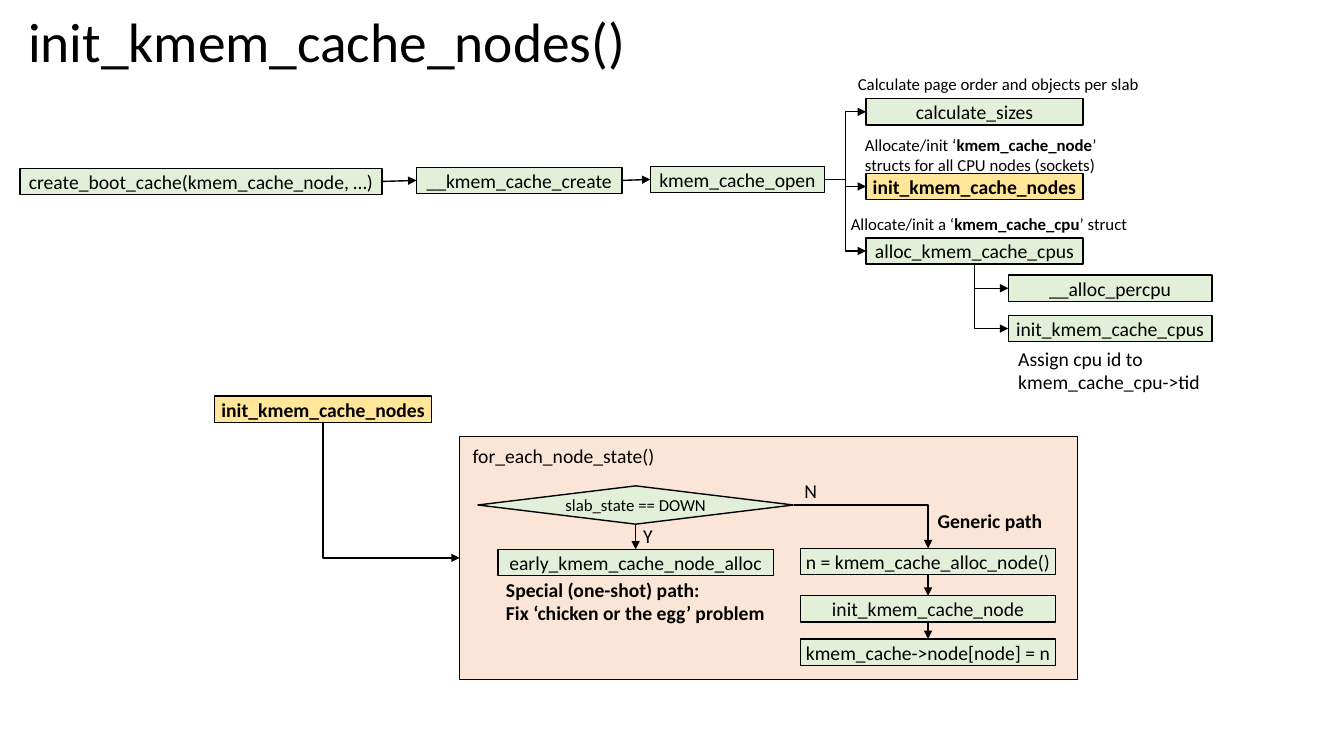
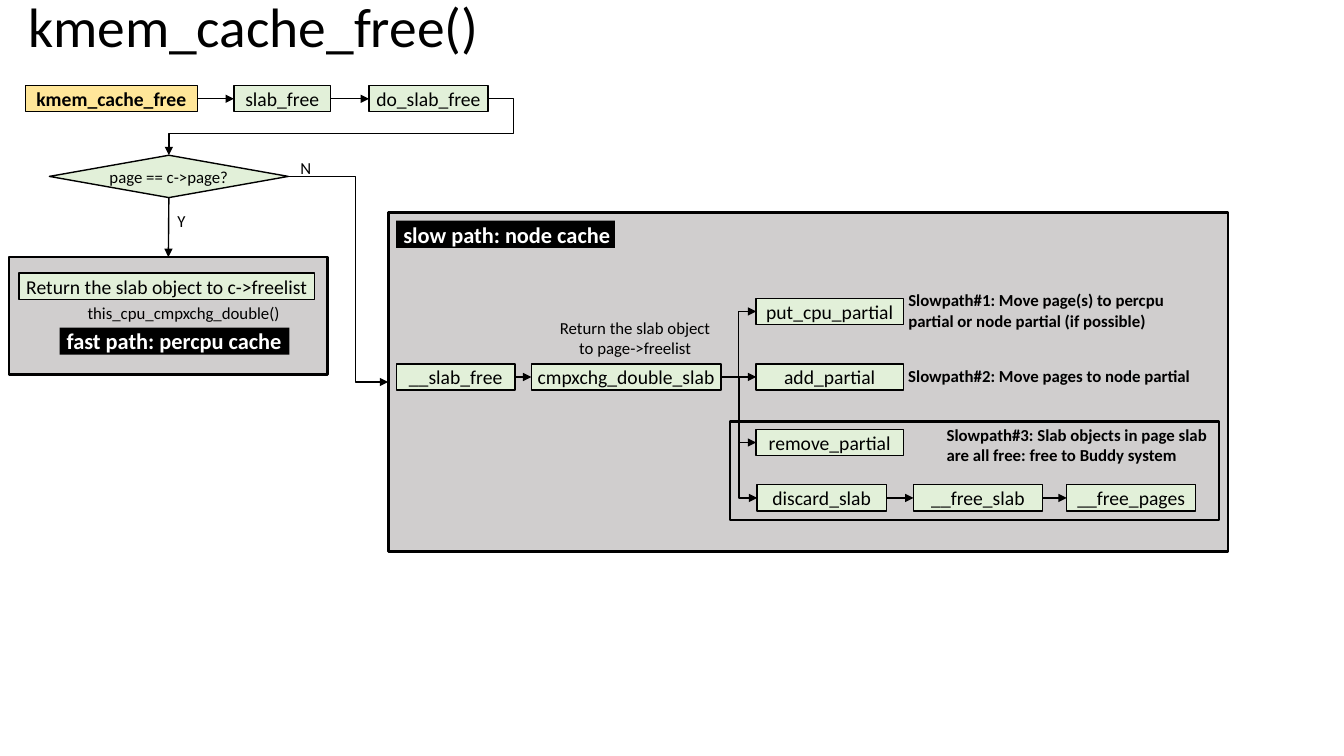
from pptx import Presentation
from pptx import util as u
from pptx.dml.color import RGBColor
from pptx.enum import shapes, text
from pptx.oxml.ns import qn
from lxml import etree

PX = 9144  # EMU per px, 100 px to the inch
BOX_HEIGHT = 26
TOP, LEFT, BOTTOM, RIGHT = range(4)  # connection sites

BLACK, WHITE = "000000", "FFFFFF"
GREEN, YELLOW = "E2F0D9", "FFE699"
PEACH, GREY = "FBE5D6", "D0CECE"
FONT = "Calibri"


def px(value):
    return u.Emu(value * PX)


def color(value):
    return RGBColor.from_string(value)


def write(shape, content, size=14, ink=BLACK, bold=False, align="LEFT",
          anchor="TOP", insets=(10, 5, 10, 5), wrap=True, spacing=None):
    """Fill a shape with text: a new line starts a paragraph, ** toggles bold."""
    frame = shape.text_frame
    frame.word_wrap = wrap
    frame.vertical_anchor = text.MSO_ANCHOR[anchor]
    (frame.margin_left, frame.margin_top,
     frame.margin_right, frame.margin_bottom) = map(px, insets)
    for row, line in enumerate(content.split("\n")):
        para = frame.add_paragraph() if row else frame.paragraphs[0]
        para.alignment = text.PP_ALIGN[align]
        para.line_spacing = spacing
        for part, words in enumerate(line.split("**")):
            span = para.add_run()
            span.text = words
            span.font.name = FONT
            span.font.size = u.Pt(size)
            span.font.bold = bold or part % 2 == 1
            span.font.color.rgb = color(ink)


class Flow:
    """The deck's style and the slide being drawn."""

    def __init__(self):
        self.deck = Presentation()
        self.deck.slide_width = px(1333)
        self.deck.slide_height = px(750)
        self.page = None

    def new_page(self, title, top):
        self.page = self.deck.slides.add_slide(self.deck.slide_layouts[6])
        self.label(18, top, 1150, title, height=75, size=39.6,
                   anchor="MIDDLE", spacing=0.9)

    def label(self, left, top, width, content, height=30, **style):
        box = self.page.shapes.add_textbox(*map(px, (left, top, width, height)))
        write(box, content, **style)

    def panel(self, left, top, width, height, fill=None, weight=1, kind="RECTANGLE"):
        panel = self.page.shapes.add_shape(
            shapes.MSO_SHAPE[kind], *map(px, (left, top, width, height)))
        panel.shadow.inherit = False
        if fill:
            panel.fill.solid()
            panel.fill.fore_color.rgb = color(fill)
        else:
            panel.fill.background()
        if weight:
            panel.line.color.rgb = color(BLACK)
            panel.line.width = u.Pt(weight)
        else:
            panel.line.fill.background()
        return panel

    def call(self, left, top, width, content, focus=False):
        box = self.panel(left, top, width, BOX_HEIGHT, YELLOW if focus else GREEN)
        write(box, content, bold=focus, align="CENTER", anchor="MIDDLE",
              insets=(5, 5, 5, 5), wrap=False)
        return box

    def decision(self, left, top, width, height, content):
        box = self.panel(left, top, width, height, GREEN, kind="FLOWCHART_DECISION")
        write(box, content, size=12, align="CENTER", anchor="MIDDLE",
              insets=(0, 0, 0, 0), wrap=False)
        return box

    def tag(self, left, top, width, content):
        box = self.panel(left, top, width, 27, BLACK, weight=0)
        write(box, content, size=16, ink=WHITE, bold=True, insets=(7, 0, 2, 0))

    def arrow(self, start, end, leave=RIGHT, enter=LEFT, bend=None, adjust=()):
        """Join two shapes; bend is the number of the bent connector preset."""
        kind = shapes.MSO_CONNECTOR.ELBOW if bend else shapes.MSO_CONNECTOR.STRAIGHT
        link = self.page.shapes.add_connector(kind, 0, 0, 0, 0)
        link.begin_connect(start, leave)
        link.end_connect(end, enter)
        link.line.color.rgb = color(BLACK)
        link.line.width = u.Pt(1)
        props = link.element.spPr
        etree.SubElement(props.find(qn("a:ln")), qn("a:tailEnd"), type="triangle")
        etree.SubElement(props, qn("a:effectLst"))
        if not bend:
            return
        preset = props.find(qn("a:prstGeom"))
        preset.set("prst", f"bentConnector{bend}")
        guides = preset.find(qn("a:avLst"))
        for number, share in enumerate(adjust, 1):
            etree.SubElement(guides, qn("a:gd"), name=f"adj{number}",
                             fmla=f"val {round(share * 100000)}")
        if (leave, enter) == (BOTTOM, LEFT):
            # Down first, then right: a quarter turn of the mirrored preset
            left, top, width, height = link.left, link.top, link.width, link.height
            link.left = left + (width - height) // 2
            link.top = top + (height - width) // 2
            link.width, link.height = height, width
            frame = props.find(qn("a:xfrm"))
            frame.set("rot", "16200000")
            frame.set("flipH", "1")

    def chain(self, *boxes, **sites):
        for start, end in zip(boxes, boxes[1:]):
            self.arrow(start, end, **sites)


def draw_init_nodes(flow):
    flow.new_page("init_kmem_cache_nodes()", 7)

    # Call chain
    boot = flow.call(20, 167, 359, "create_boot_cache(kmem_cache_node, …)")
    create = flow.call(413, 166, 204, "__kmem_cache_create")
    opening = flow.call(645, 165, 173, "kmem_cache_open")
    flow.chain(boot, create, opening)

    # Steps of kmem_cache_open
    sizes = flow.call(859, 98, 215, "calculate_sizes")
    nodes = flow.call(859, 172, 215, "init_kmem_cache_nodes", focus=True)
    cpus = flow.call(859, 236, 215, "alloc_kmem_cache_cpus")
    for step in (sizes, nodes, cpus):
        flow.arrow(opening, step, bend=3)
    flow.label(841, 68, 324, "Calculate page order and objects per slab", size=12)
    flow.label(848, 129, 265, "Allocate/init ‘**kmem_cache_node**’ structs "
               "for all CPU nodes (sockets)", height=50, size=12)
    flow.label(834, 207, 300, "Allocate/init a ‘**kmem_cache_cpu**’ struct", size=12)

    # Steps of alloc_kmem_cache_cpus
    for top, name in ((273, "__alloc_percpu"), (313, "init_kmem_cache_cpus")):
        step = flow.call(1000, top, 202, name)
        flow.arrow(cpus, step, leave=BOTTOM, bend=2)
    flow.label(1000, 339, 235, "Assign cpu id to kmem_cache_cpu->tid", height=57)

    # Loop over the nodes
    entry = flow.call(213, 393, 215, "init_kmem_cache_nodes", focus=True)
    loop = flow.panel(456, 433, 613, 241, PEACH)
    flow.arrow(entry, loop, leave=BOTTOM, bend=2)
    flow.label(459, 436, 226, "for_each_node_state()")
    state = flow.decision(474, 482, 313, 38, "slab_state == DOWN")

    # Special path
    early = flow.call(494, 545, 273, "early_kmem_cache_node_alloc")
    flow.arrow(state, early, leave=BOTTOM, enter=TOP)
    flow.label(628, 515, 50, "Y")
    flow.label(492, 568, 288, "Special (one-shot) path:\n"
               "Fix ‘chicken or the egg’ problem", height=57, bold=True)

    # Generic path
    generic = [flow.call(794, top, 253, name) for top, name in (
        (544, "n = kmem_cache_alloc_node()"),
        (591, "init_kmem_cache_node"),
        (634, "kmem_cache->node[node] = n"))]
    flow.arrow(state, generic[0], enter=TOP, bend=2)
    flow.chain(*generic, leave=BOTTOM, enter=TOP)
    flow.label(788, 470, 50, "N")
    flow.label(920, 500, 141, "Generic path", bold=True)


def draw_free(flow):
    flow.new_page("kmem_cache_free()", -8)

    # Call chain
    free = flow.call(25, 85, 171, "kmem_cache_free", focus=True)
    slab = flow.call(232, 85, 96, "slab_free")
    do_slab = flow.call(366, 85, 118, "do_slab_free")
    flow.chain(free, slab, do_slab)
    same_page = flow.decision(49, 154, 237, 42, "page == c->page?")
    flow.arrow(do_slab, same_page, enter=TOP, bend=4, adjust=(-0.08, 0.62))

    # Fast path
    fast = flow.panel(9, 255, 316, 117, GREY, weight=2)
    flow.call(19, 271, 293, "Return the slab object to c->freelist")
    flow.label(77, 295, 226, "this_cpu_cmpxchg_double()", size=12)
    flow.tag(59, 325, 228, "fast path: percpu cache")
    flow.arrow(same_page, fast, leave=BOTTOM, enter=TOP)
    flow.label(166, 204, 31, "Y", size=12)

    # Slow path
    slow = flow.panel(385, 211, 833, 336, GREY, weight=2)
    flow.tag(393, 219, 217, "slow path: node cache")
    flow.arrow(same_page, slow, bend=3, adjust=(0.67,))
    flow.label(288, 152, 31, "N", size=12)
    slab_free = flow.call(393, 361, 118, "__slab_free")
    exchange = flow.call(527, 361, 188, "cmpxchg_double_slab")
    flow.label(533, 310, 194, "Return the slab object\nto page->freelist",
               height=50, size=12, align="CENTER")

    # Branches of the slow path
    flow.panel(724, 418, 485, 98, weight=2)
    put = flow.call(750, 296, 146, "put_cpu_partial")
    add = flow.call(750, 361, 146, "add_partial")
    remove = flow.call(750, 426, 146, "remove_partial")
    discard, free_slab, free_pages = [
        flow.call(left, 481, 128, name) for left, name in (
            (751, "discard_slab"), (906, "__free_slab"), (1058, "__free_pages"))]
    flow.chain(slab_free, exchange, add)
    for branch in (put, remove, discard):
        flow.arrow(exchange, branch, bend=3)
    flow.chain(discard, free_slab, free_pages)
    for left, top, width, note in (
            (891, 283, 289, "Slowpath#1: Move page(s) to percpu partial "
                            "or node partial (if possible)"),
            (891, 358, 314, "Slowpath#2: Move pages to node partial"),
            (929, 416, 289, "Slowpath#3: Slab objects in page slab "
                            "are all free: free to Buddy system")):
        flow.label(left, top, width, note, size=12, bold=True)


def main():
    flow = Flow()
    draw_init_nodes(flow)
    draw_free(flow)
    flow.deck.save("out.pptx")


if __name__ == "__main__":
    main()
